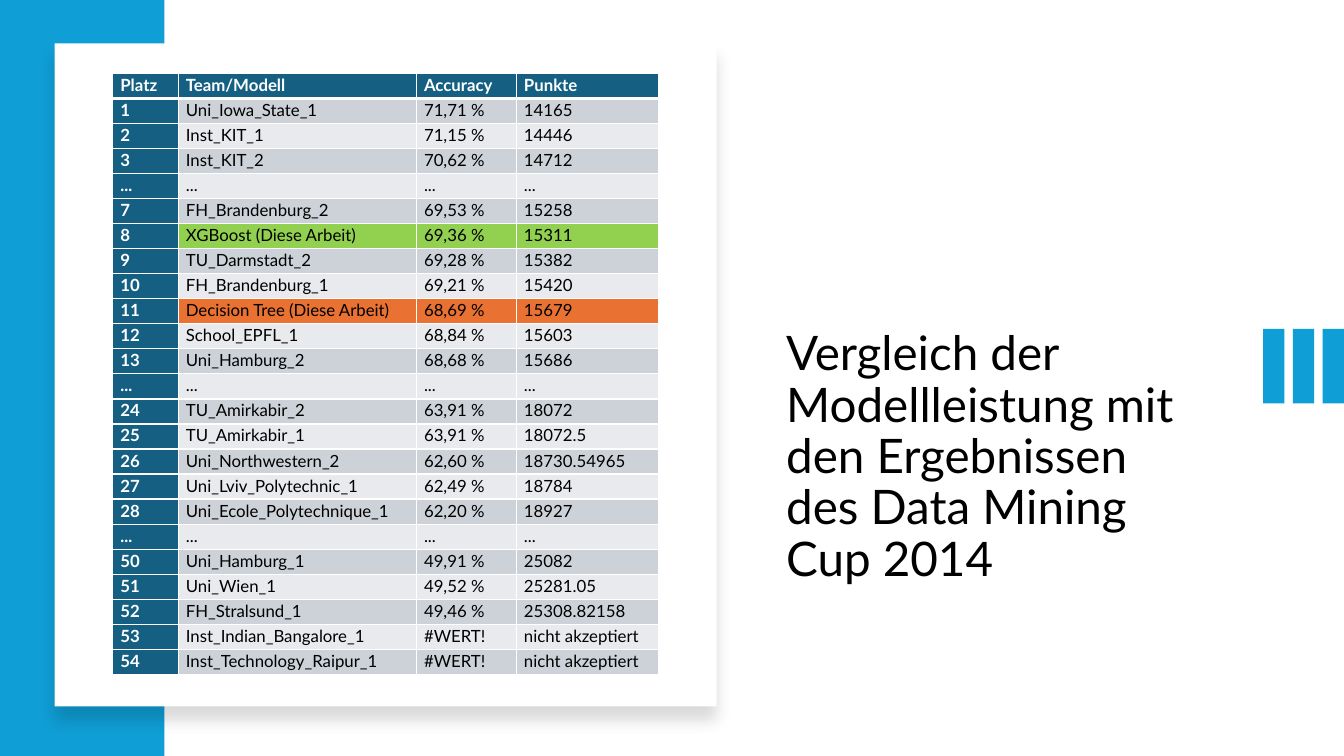
from lxml.etree import SubElement
from pptx import Presentation
from pptx.dml.color import RGBColor
from pptx.enum.shapes import MSO_SHAPE
from pptx.enum.text import MSO_ANCHOR, MSO_AUTO_SIZE, PP_ALIGN
from pptx.oxml.ns import qn
from pptx.util import Pt

FONT = "Lato"
BLUE = RGBColor(0x0F, 0x9E, 0xD5)
TEAL = RGBColor(0x15, 0x60, 0x82)
DARK_BAND = RGBColor(0xCC, 0xD2, 0xD8)
LIGHT_BAND = RGBColor(0xE8, 0xEA, 0xED)
GREEN = RGBColor(0x92, 0xD0, 0x50)
ORANGE = RGBColor(0xE9, 0x71, 0x32)
WHITE = RGBColor(0xFF, 0xFF, 0xFF)
BLACK = RGBColor(0, 0, 0)

TITLE = "Vergleich der Modellleistung mit den Ergebnissen des Data Mining Cup 2014"
GAP = ("...",) * 4
RANKING = [
    ("Platz", "Team/Modell", "Accuracy", "Punkte"),
    ("1", "Uni_Iowa_State_1", "71,71 %", "14165"),
    ("2", "Inst_KIT_1", "71,15 %", "14446"),
    ("3", "Inst_KIT_2", "70,62 %", "14712"),
    GAP,
    ("7", "FH_Brandenburg_2", "69,53 %", "15258"),
    ("8", "XGBoost (Diese Arbeit)", "69,36 %", "15311"),
    ("9", "TU_Darmstadt_2", "69,28 %", "15382"),
    ("10", "FH_Brandenburg_1", "69,21 %", "15420"),
    ("11", "Decision Tree (Diese Arbeit)", "68,69 %", "15679"),
    ("12", "School_EPFL_1", "68,84 %", "15603"),
    ("13", "Uni_Hamburg_2", "68,68 %", "15686"),
    GAP,
    ("24", "TU_Amirkabir_2", "63,91 %", "18072"),
    ("25", "TU_Amirkabir_1", "63,91 %", "18072.5"),
    ("26", "Uni_Northwestern_2", "62,60 %", "18730.54965"),
    ("27", "Uni_Lviv_Polytechnic_1", "62,49 %", "18784"),
    ("28", "Uni_Ecole_Polytechnique_1", "62,20 %", "18927"),
    GAP,
    ("50", "Uni_Hamburg_1", "49,91 %", "25082"),
    ("51", "Uni_Wien_1", "49,52 %", "25281.05"),
    ("52", "FH_Stralsund_1", "49,46 %", "25308.82158"),
    ("53", "Inst_Indian_Bangalore_1", "#WERT!", "nicht akzeptiert"),
    ("54", "Inst_Technology_Raipur_1", "#WERT!", "nicht akzeptiert"),
]
HIGHLIGHTS = {"8": GREEN, "11": ORANGE}
COLUMN_SHARES = (0.12, 0.436, 0.183, 0.261)


def format_paragraph(paragraph, size, color, line_spacing, space_after, bold=False):
    paragraph.alignment = PP_ALIGN.LEFT
    paragraph.line_spacing = line_spacing
    paragraph.space_after = Pt(space_after)
    for run in paragraph.runs:
        run.font.name = FONT
        run.font.size = Pt(size)
        run.font.bold = bold
        run.font.color.rgb = color


def add_rectangle(shapes, left, top, width, height, color):
    shape = shapes.add_shape(
        MSO_SHAPE.RECTANGLE, Pt(left), Pt(top), Pt(width), Pt(height))
    shape.shadow.inherit = False
    shape.fill.solid()
    shape.fill.fore_color.rgb = color
    shape.line.fill.background()
    return shape


def place_title(slide, left, top, width, height):
    title = slide.shapes.title
    title.left, title.top = Pt(left), Pt(top)
    title.width, title.height = Pt(width), Pt(height)
    text_frame = title.text_frame
    text_frame.text = TITLE
    text_frame.word_wrap = True
    text_frame.auto_size = MSO_AUTO_SIZE.NONE
    text_frame.vertical_anchor = MSO_ANCHOR.TOP
    format_paragraph(text_frame.paragraphs[0], 34, BLACK, 0.9, 6)


def add_card(slide, left, top, width, height):
    card = add_rectangle(slide.shapes, left, top, width, height, WHITE)
    # Soft shadow below the card
    effects = card._element.spPr.find(qn("a:effectLst"))
    shadow = SubElement(effects, qn("a:outerShdw"), blurRad=str(Pt(11)),
                        dist=str(Pt(10)), dir="5400000", algn="t", rotWithShape="0")
    color = SubElement(shadow, qn("a:srgbClr"), val=str(BLACK))
    SubElement(color, qn("a:alpha"), val="15000")


def add_stripes(slide, left, top, width, height, count=3):
    group = slide.shapes.add_group_shape()
    stripe_width = 15.2
    step = (width - stripe_width) / (count - 1)
    for index in range(count):
        add_rectangle(group.shapes, left + index * step, top, stripe_width, height, BLUE)


def set_borders(cell, top_width, bottom_width):
    properties = cell._tc.get_or_add_tcPr()
    widths = {"a:lnL": 1, "a:lnR": 1, "a:lnT": top_width, "a:lnB": bottom_width}
    for tag, width in widths.items():
        line = SubElement(properties, qn(tag), w=str(Pt(width)))
        fill = SubElement(line, qn("a:solidFill"))
        SubElement(fill, qn("a:srgbClr"), val=str(WHITE))


def fill_cell(cell, text, color, row_index, is_heading):
    cell.margin_left = cell.margin_right = Pt(5.4)
    cell.margin_top = cell.margin_bottom = 0
    set_borders(cell, 3 if row_index == 1 else 1, 3 if row_index == 0 else 1)
    cell.fill.solid()
    cell.fill.fore_color.rgb = color
    cell.text_frame.text = text
    format_paragraph(cell.text_frame.paragraphs[0], 12,
                     WHITE if is_heading else BLACK, 1.07, 8, is_heading)


def add_ranking(slide, left, top, width, height):
    table = slide.shapes.add_table(
        len(RANKING), len(COLUMN_SHARES), Pt(left), Pt(top), Pt(width), Pt(height)).table
    for column, share in zip(table.columns, COLUMN_SHARES):
        column.width = Pt(width * share)
    for row_index, values in enumerate(RANKING):
        table.rows[row_index].height = Pt(height / len(RANKING))
        band = DARK_BAND if row_index % 2 else LIGHT_BAND
        row_color = HIGHLIGHTS.get(values[0], band)
        for column_index, text in enumerate(values):
            is_heading = row_index == 0 or column_index == 0
            fill_cell(table.cell(row_index, column_index), text,
                      TEAL if is_heading else row_color, row_index, is_heading)


def main():
    presentation = Presentation()
    presentation.slide_width, presentation.slide_height = Pt(960), Pt(540)
    slide = presentation.slides.add_slide(presentation.slide_layouts[5])

    # Title on the right
    place_title(slide, 554.4, 231.8, 317.5, 188)
    # Blue side band, white card and edge stripes
    add_rectangle(slide.shapes, 0, 0, 117.5, 540, BLUE)
    add_card(slide, 39, 31, 473, 473.6)
    add_stripes(slide, 902.3, 235, 57.7, 53.2)
    # Ranking table on the card
    add_ranking(slide, 80.6, 52.4, 390.2, 429.8)

    presentation.save("out.pptx")


if __name__ == "__main__":
    main()
